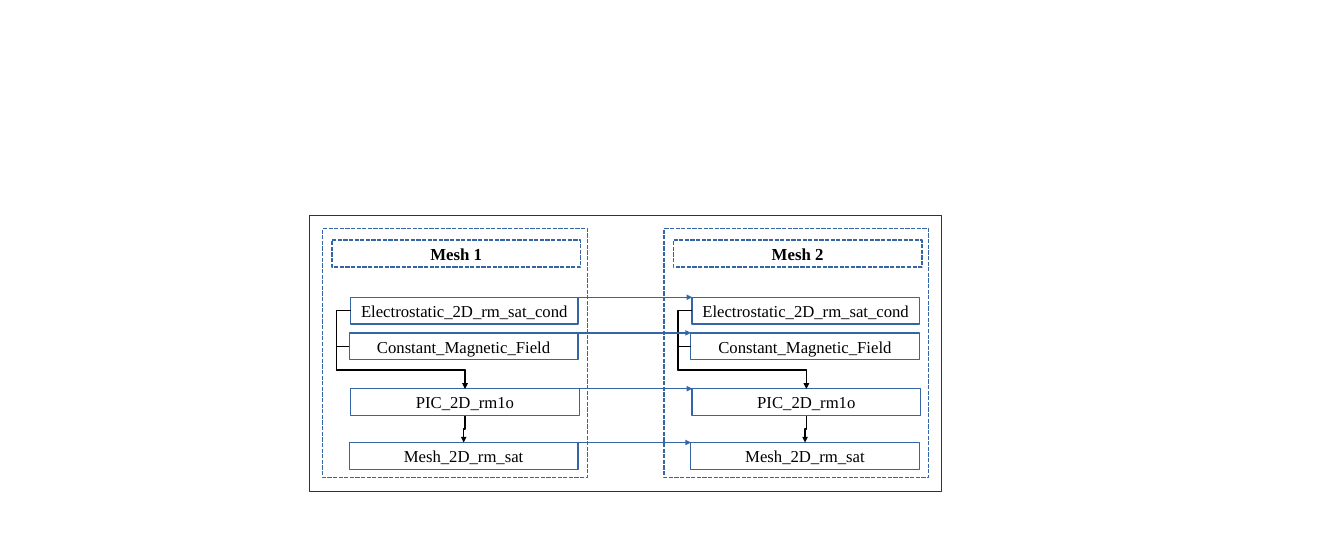
from lxml import etree
from pptx import Presentation
from pptx.dml.color import RGBColor
from pptx.enum.dml import MSO_LINE
from pptx.enum.shapes import MSO_CONNECTOR, MSO_SHAPE
from pptx.enum.text import MSO_ANCHOR, MSO_AUTO_SIZE, PP_ALIGN
from pptx.oxml.ns import qn
from pptx.util import Inches, Pt

# Content: label, left within the mesh frame, top, width
ROWS = [
    ("Electrostatic_2D_rm_sat_cond", 0.42, 4.42, 3.38),
    ("Constant_Magnetic_Field", 0.4, 4.95, 3.4),
    ("PIC_2D_rm1o", 0.42, 5.78, 3.4),
    ("Mesh_2D_rm_sat", 0.4, 6.58, 3.4),
]
MESHES = ["Mesh 1", "Mesh 2"]

# Layout in inches
OUTER = (4.6, 3.2, 9.4, 4.1)
FRAME_LEFT, FRAME_TOP, FRAME_WIDTH, FRAME_HEIGHT = 4.8, 3.4, 3.94, 3.7
MESH_STEP = 5.08
BOX_HEIGHT = 0.4
SPINE_OFFSET, BEND_TOP = 0.21, 5.5

FONT = "Times New Roman"
BLUE, BLACK, WHITE, DARK_RED = "3465A4", "000000", "FFFFFF", "94070A"
LEFT_SITE, TOP_SITE, BOTTOM_SITE = 1, 0, 2

presentation = Presentation()
presentation.slide_width, presentation.slide_height = Inches(20), Inches(8)
slide = presentation.slides.add_slide(presentation.slide_layouts[6])


def paint(color_format, color):
    color_format.rgb = RGBColor.from_string(color)


def add_box(left, top, width, height, line=BLUE, weight=1.5, fill=WHITE, dashed=False):
    shape = slide.shapes.add_shape(
        MSO_SHAPE.RECTANGLE, Inches(left), Inches(top), Inches(width), Inches(height))
    shape.shadow.inherit = False
    if fill:
        shape.fill.solid()
        paint(shape.fill.fore_color, fill)
    else:
        shape.fill.background()
    paint(shape.line.color, line)
    shape.line.width = Pt(weight)
    if dashed:
        shape.line.dash_style = MSO_LINE.SQUARE_DOT
    return shape


def write(shape, text, size, bold=False, wrap=False, anchor=MSO_ANCHOR.MIDDLE):
    frame = shape.text_frame
    frame.word_wrap = wrap
    frame.vertical_anchor = anchor
    frame.margin_left = frame.margin_right = Inches(0.11)
    frame.margin_top = frame.margin_bottom = Inches(0.06)
    paragraph = frame.paragraphs[0]
    paragraph.alignment = PP_ALIGN.CENTER
    run = paragraph.add_run()
    run.text = text
    run.font.name, run.font.size, run.font.bold = FONT, Pt(size), bold
    paint(run.font.color, BLACK)


def add_arrow(kind, begin, end, color):
    points = [Inches(value) for value in (*begin, *end)]
    arrow = slide.shapes.add_connector(kind, *points)
    paint(arrow.line.color, color)
    arrow.line.width = Pt(1.5)
    line = arrow.line._get_or_add_ln()
    etree.SubElement(line, qn("a:tailEnd"), type="triangle")
    etree.SubElement(arrow._element.spPr, qn("a:effectLst"))
    return arrow


def shape_elbow(arrow, preset, adjustments, rotation, **flips):
    properties = arrow._element.spPr
    geometry = properties.find(qn("a:prstGeom"))
    geometry.set("prst", preset)
    guides = geometry.find(qn("a:avLst"))
    if guides is None:
        guides = etree.SubElement(geometry, qn("a:avLst"))
    for number, value in enumerate(adjustments, 1):
        etree.SubElement(guides, qn("a:gd"), name=f"adj{number}",
                         fmla=f"val {round(value * 100000)}")
    transform = properties.find(qn("a:xfrm"))
    for flip in ("flipH", "flipV"):
        transform.attrib.pop(flip, None)
    transform.set("rot", str(rotation * 60000))
    for flip, value in flips.items():
        transform.set(flip, value)


def add_feed(source, target, begin, end, spine):
    """Leave a box on its left, follow the spine and enter the target from above."""
    arrow = add_arrow(MSO_CONNECTOR.ELBOW, begin, end, BLACK)
    arrow.begin_connect(source, LEFT_SITE)
    arrow.end_connect(target, TOP_SITE)
    adjustments = [(spine - begin[0]) / (end[0] - begin[0]),
                   (BEND_TOP - begin[1]) / (end[1] - begin[1])]
    shape_elbow(arrow, "bentConnector4", adjustments, 180, flipH="1", flipV="1")


def add_drop(source, target, begin, end):
    """Step down from one box to the next."""
    arrow = add_arrow(MSO_CONNECTOR.ELBOW, begin, end, BLACK)
    arrow.begin_connect(source, BOTTOM_SITE)
    arrow.end_connect(target, TOP_SITE)
    length, jog = end[1] - begin[1], begin[0] - end[0]
    arrow.left = Inches((begin[0] + end[0] - length) / 2)
    arrow.top = Inches((begin[1] + end[1] - jog) / 2)
    arrow.width, arrow.height = Inches(length), Inches(jog)
    shape_elbow(arrow, "bentConnector3", [0.5], 90)


# Outer frame
add_box(*OUTER, line=DARK_RED, weight=0.5)

# The two meshes with their boxes and inner arrows
for index, title in enumerate(MESHES):
    left = FRAME_LEFT + index * MESH_STEP
    add_box(left, FRAME_TOP, FRAME_WIDTH, FRAME_HEIGHT, dashed=True)
    boxes = [add_box(left + offset, top, width, BOX_HEIGHT)
             for _, offset, top, width in ROWS]
    for box, (label, *_) in zip(boxes, ROWS):
        write(box, label, 17.9)
    header = add_box(left + 0.14, 3.57, 3.7, BOX_HEIGHT, fill=None, dashed=True)
    write(header, title, 18, bold=True, wrap=True, anchor=MSO_ANCHOR.TOP)
    header.text_frame.auto_size = MSO_AUTO_SIZE.SHAPE_TO_FIT_TEXT

    field, magnet, pic, mesh = boxes
    centers = [left + offset + width / 2 for _, offset, _, width in ROWS]
    pic_top, mesh_top = ROWS[2][2], ROWS[3][2]
    for source, (_, offset, top, _) in zip((field, magnet), ROWS):
        add_feed(source, pic, (left + offset, top + BOX_HEIGHT / 2),
                 (centers[2], pic_top), left + SPINE_OFFSET)
    add_drop(pic, mesh, (centers[2], pic_top + BOX_HEIGHT), (centers[3], mesh_top))

# Arrows from mesh 1 to mesh 2, level with the top of each box
for _, offset, top, width in ROWS:
    box_left = FRAME_LEFT + offset
    add_arrow(MSO_CONNECTOR.STRAIGHT, (box_left + width, top),
              (box_left + MESH_STEP, top), BLUE)

presentation.save("out.pptx")
